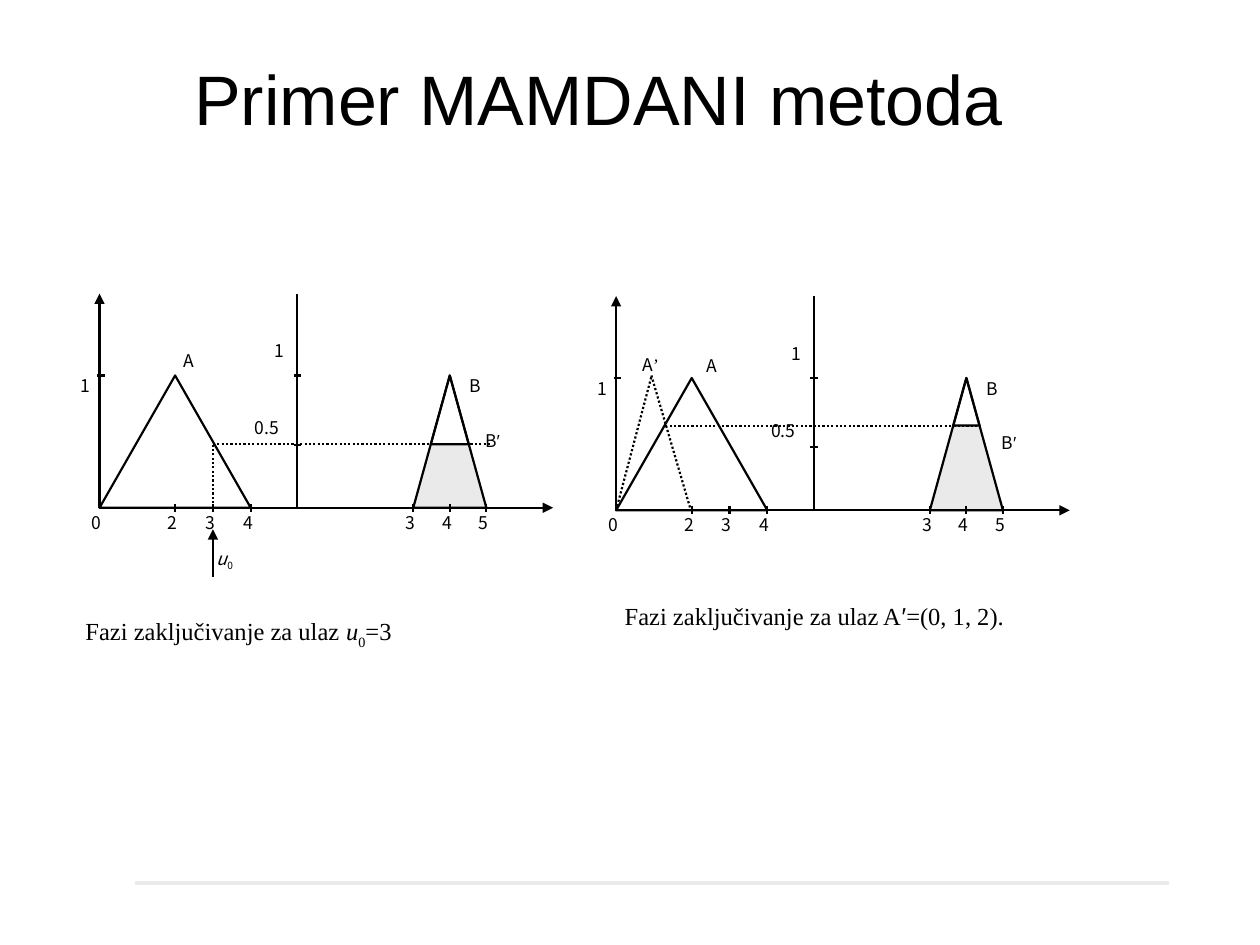
from lxml import etree
from pptx import Presentation
from pptx.dml.color import RGBColor
from pptx.enum.dml import MSO_LINE
from pptx.enum.shapes import MSO_CONNECTOR, MSO_SHAPE
from pptx.enum.text import MSO_ANCHOR, PP_ALIGN
from pptx.oxml.ns import qn
from pptx.util import Inches, Pt

BLACK = RGBColor(0x00, 0x00, 0x00)
WHITE = RGBColor(0xFF, 0xFF, 0xFF)
GRAY = RGBColor(0xEA, 0xEA, 0xEA)
STRAIGHT = MSO_CONNECTOR.STRAIGHT
TRIANGLE = MSO_SHAPE.ISOSCELES_TRIANGLE
DOTTED = MSO_LINE.ROUND_DOT
LABEL_FONT, CAPTION_FONT, TITLE_FONT = "Noto Sans CJK KR", "Times New Roman", "Arial"

prs = Presentation()
prs.slide_width, prs.slide_height = Inches(10), Inches(7.5)
slide = prs.slides.add_slide(prs.slide_layouts[5])
shapes = slide.shapes


def write(frame, runs, size=10, font=LABEL_FONT, margins=(0, 0),
          align=PP_ALIGN.LEFT, anchor=MSO_ANCHOR.TOP):
    """Each run is (text, format); format may hold font, italic and baseline."""
    frame.word_wrap = True
    frame.vertical_anchor = anchor
    frame.margin_left = frame.margin_right = Inches(margins[0])
    frame.margin_top = frame.margin_bottom = Inches(margins[1])
    paragraph = frame.paragraphs[0]
    paragraph.alignment = align
    for words, style in runs:
        run = paragraph.add_run()
        run.text = words
        run.font.size = Pt(size)
        run.font.name = style.get("font", font)
        run.font.italic = style.get("italic", False)
        run.font.color.rgb = BLACK
        if "baseline" in style:
            run.font._element.set("baseline", str(style["baseline"] * 1000))


def draw_line(x1, y1, x2, y2, color=BLACK, width=1.25, dash=None, arrow=False):
    line = shapes.add_connector(STRAIGHT, *(Inches(v) for v in (x1, y1, x2, y2)))
    line.line.color.rgb = color
    line.line.width = Pt(width)
    if dash:
        line.line.dash_style = dash
    if arrow:
        etree.SubElement(line.line._ln, qn("a:tailEnd"), type="triangle")
    etree.SubElement(line._element.spPr, qn("a:effectLst"))


# Title and footer rule
title = shapes.title
title.left, title.top, title.width, title.height = (
    Inches(v) for v in (0.25, 0.15, 9, 1.25))
write(title.text_frame, [("Primer MAMDANI metoda", {})], size=40, font=TITLE_FONT,
      margins=(0.1, 0.05), align=PP_ALIGN.CENTER, anchor=MSO_ANCHOR.MIDDLE)
draw_line(1.07, 7.01, 9.28, 7.01, color=GRAY, width=2.25)

# Scales shared by both diagrams, measured from the origin
UNIT = 0.3            # one step on the input axis
FULL = 1.05           # height of membership 1
AXIS_HEIGHT = 1.7
SECOND_AXIS = 1.57
B_CENTER, B_HALF = 2.78, 0.29
TICK = 0.03
PRIME = ("′", {"font": TITLE_FONT})

input_ticks = {"2": 2 * UNIT, "3": 3 * UNIT, "4": 4 * UNIT}
output_ticks = {"3": B_CENTER - B_HALF, "4": B_CENTER, "5": B_CENTER + B_HALF}
ticks = [*input_ticks.items(), *output_ticks.items()]

common_labels = [
    (-0.15, -FULL, [("1", {})]),
    (1.39, -1.33, [("1", {})]),
    (1.23, -0.72, [("0.5", {})]),
    (2.94, -FULL, [("B", {})]),
    (3.06, -0.62, [("B", {}), PRIME]),
]

# Origin, cut level, start and end of the cut line, extra dotted lines, own labels
diagrams = [
    (0.79, 4.03, 0.48, 3 * UNIT, 3.1,
     [(3 * UNIT, 0, 3 * UNIT, -0.5)],
     [(0.67, -1.25, [("A", {})]),
      (0.93, 0.32, [("u", {"italic": True}), ("0", {"baseline": -25})])]),
    (4.89, 4.05, 0.64, 1.3 * UNIT, 2.87,
     [(0, 0, 0.28, -1.06), (0.28, -1.07, 0.59, -0.01)],
     [(0.72, -1.23, [("A", {})]),
      (0.21, -1.24, [("A", {}), ("’", {"font": CAPTION_FONT})])]),
]

for x0, y0, level, cut_start, cut_end, dotted, own_labels in diagrams:
    cut_y = y0 - level * FULL
    cut_half = B_HALF * (1 - level)
    center = x0 + B_CENTER

    # Clipped output set B′
    corners = [(Inches(x), Inches(y)) for x, y in [
        (center - B_HALF, y0), (center - cut_half, cut_y),
        (center + cut_half, cut_y), (center + B_HALF, y0)]]
    outline = shapes.build_freeform(*corners[0])
    outline.add_line_segments(corners[1:], close=True)
    clipped = outline.convert_to_shape()
    clipped.shadow.inherit = False
    clipped.fill.solid()
    clipped.fill.fore_color.rgb = GRAY
    clipped.line.color.rgb = GRAY
    clipped.line.width = Pt(1.25)

    # Sets B, tip of B above the cut, and A
    for left, width, height, filled in [
            (center - B_HALF, 2 * B_HALF, FULL, False),
            (center - cut_half, 2 * cut_half, FULL * (1 - level), False),
            (x0, 4 * UNIT, FULL, True)]:
        fuzzy_set = shapes.add_shape(TRIANGLE, Inches(left), Inches(y0 - FULL),
                                     Inches(width), Inches(height))
        fuzzy_set.shadow.inherit = False
        fuzzy_set.line.color.rgb = BLACK
        fuzzy_set.line.width = Pt(1.25)
        if filled:
            fuzzy_set.fill.solid()
            fuzzy_set.fill.fore_color.rgb = WHITE
        else:
            fuzzy_set.fill.background()

    # Axes and ticks
    draw_line(x0, y0, x0 + 3.6, y0, arrow=True)
    draw_line(x0, y0, x0, y0 - AXIS_HEIGHT, arrow=True)
    draw_line(x0 + SECOND_AXIS, y0, x0 + SECOND_AXIS, y0 - AXIS_HEIGHT)
    for axis, height in [(0.01, FULL), (SECOND_AXIS, FULL), (SECOND_AXIS, 0.5)]:
        draw_line(x0 + axis - TICK, y0 - height, x0 + axis + TICK, y0 - height)
    for number, offset in ticks:
        draw_line(x0 + offset, y0 - TICK, x0 + offset, y0 + TICK)

    # Dotted construction lines
    draw_line(x0 + cut_start, cut_y, x0 + cut_end, cut_y, dash=DOTTED)
    for x1, y1, x2, y2 in dotted:
        draw_line(x0 + x1, y0 + y1, x0 + x2, y0 + y2, dash=DOTTED)

    # Labels
    tick_labels = [(offset - 0.06, 0.03, [(number, {})])
                   for number, offset in [("0", 0), *ticks]]
    for dx, dy, runs in tick_labels + common_labels + own_labels:
        label_width = 0.28 if runs[0][0] == "0.5" else 0.15
        label = shapes.add_textbox(Inches(x0 + dx), Inches(y0 + dy),
                                   Inches(label_width), Inches(0.23))
        write(label.text_frame, runs)

# Arrow marking the crisp input
input_x = diagrams[0][0] + 3 * UNIT
draw_line(input_x, 4.58, input_x, 4.2, arrow=True)

# Captions
for left, top, width, height, runs in [
        (0.58, 4.84, 2.75, 0.38,
         [("Fazi zaključivanje za ulaz ", {}), ("u", {"italic": True}),
          ("0", {"baseline": -30}), ("=3", {})]),
        (4.86, 4.72, 3.33, 0.34,
         [("Fazi zaključivanje za ulaz A", {}), PRIME, ("=(0, 1, 2).", {})])]:
    caption = shapes.add_textbox(Inches(left), Inches(top), Inches(width), Inches(height))
    write(caption.text_frame, runs, size=14, font=CAPTION_FONT, margins=(0.1, 0.05))

prs.save("out.pptx")
